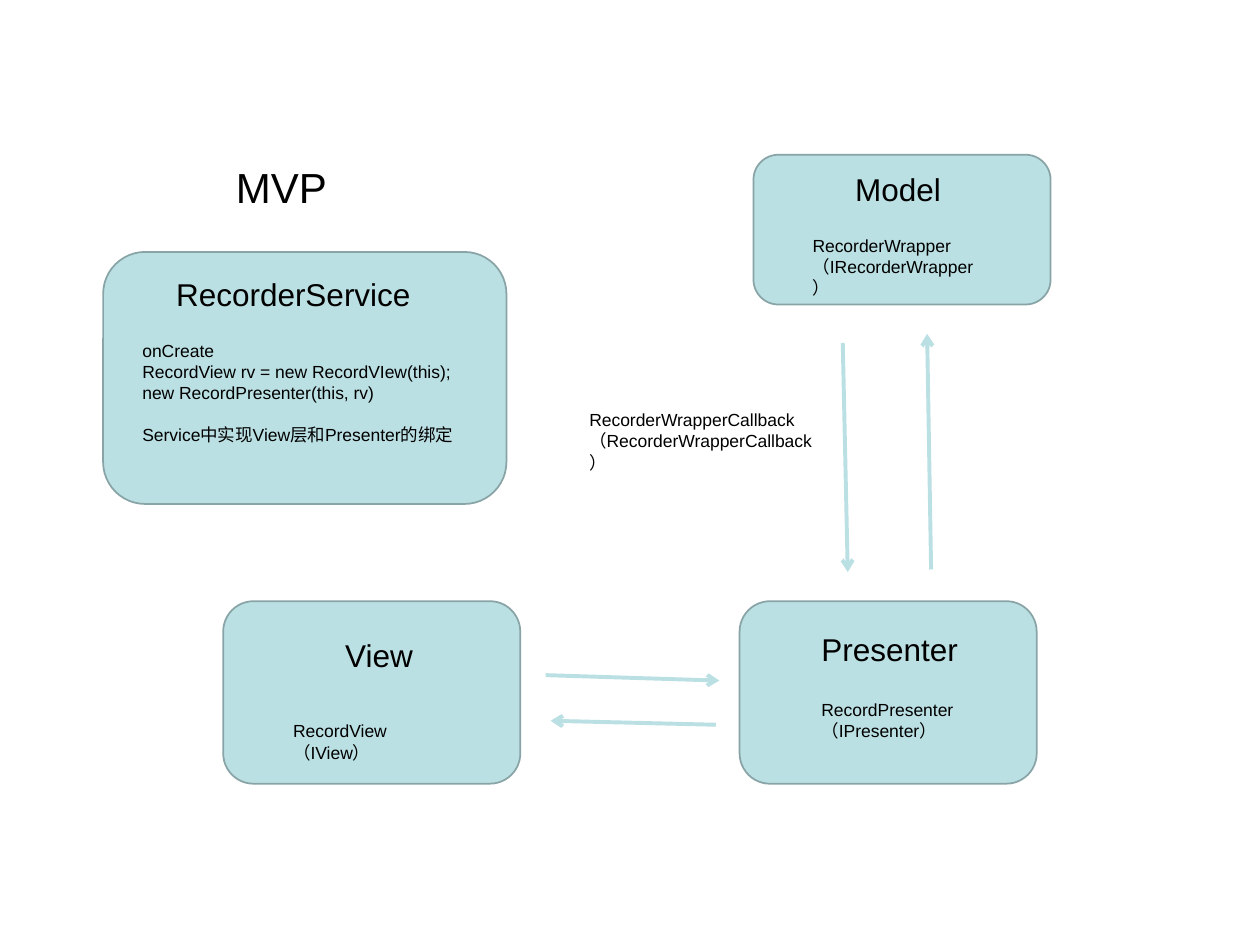
"""Build a slide of the MVP structure of a recorder service."""
from dataclasses import dataclass

from lxml import etree
from pptx import Presentation
from pptx.dml.color import RGBColor
from pptx.enum.shapes import MSO_CONNECTOR, MSO_SHAPE
from pptx.enum.text import MSO_ANCHOR, MSO_AUTO_SIZE, PP_ALIGN
from pptx.oxml.ns import qn
from pptx.util import Cm, Pt

ROUNDED = MSO_SHAPE.ROUNDED_RECTANGLE
STRAIGHT = MSO_CONNECTOR.STRAIGHT
TOP = MSO_ANCHOR.TOP
LEFT = PP_ALIGN.LEFT
FIT_TEXT = MSO_AUTO_SIZE.SHAPE_TO_FIT_TEXT
TITLE_ONLY = 5


@dataclass(frozen=True)
class Theme:
    """Colours, type sizes and line widths of the slide."""
    font: str = "Arial"
    ink: RGBColor = RGBColor(0x00, 0x00, 0x00)
    panel: RGBColor = RGBColor(0xBB, 0xE0, 0xE3)
    border: RGBColor = RGBColor(0x89, 0xA4, 0xA7)
    title: int = 24
    heading: int = 18
    detail: int = 10
    border_width: float = 1
    arrow_width: float = 2.25


THEME = Theme()

TITLE = ("MVP", (4.5, 3.12, 3.78, 1.27))

COMPONENTS = [
    {"panel": (4.5, 12.12, 5.99, 3.68),
     "heading": ("View", (6.71, 12.7, 3.78, 1.02)),
     "detail": (["RecordView（IView）"], (5.66, 14.4, 3.66, 1.12))},
    {"panel": (14.91, 12.12, 5.99, 3.68),
     "heading": ("Presenter", (16.31, 12.57, 3.78, 1.02)),
     "detail": (["RecordPresenter（IPresenter）"], (16.31, 13.97, 3.66, 1.12))},
    {"panel": (15.19, 3.12, 5.99, 3.02),
     "heading": ("Model", (16.99, 3.3, 3.78, 1.02)),
     "detail": (["RecorderWrapper（IRecorderWrapper）"], (16.13, 4.62, 3.96, 1.52))},
    {"panel": (2.08, 5.08, 8.13, 5.08),
     "heading": ("RecorderService", (3.3, 5.41, 5.38, 1.02)),
     "detail": (["onCreate",
                 "RecordView rv = new RecordVIew(this);",
                 "new RecordPresenter(this, rv)",
                 "Service中实现View层和Presenter的绑定"], (2.62, 6.73, 7.29, 2.39))},
]

CALLBACK = (["RecorderWrapperCallback（RecorderWrapperCallback）"],
            (11.63, 8.13, 5.21, 1.52))

ARROWS = [
    (11, 13.61, 14.5, 13.72),
    (14.43, 14.61, 11.1, 14.53),
    (16.99, 6.91, 17.09, 11.53),
    (18.77, 11.48, 18.69, 6.73),
]


def to_cm(values):
    return [Cm(value) for value in values]


def write(holder, lines, *, size, last_gap=0):
    frame = holder.text_frame
    frame.word_wrap = True
    frame.auto_size = FIT_TEXT
    frame.vertical_anchor = TOP
    for index, line in enumerate(lines):
        paragraph = frame.add_paragraph() if index else frame.paragraphs[0]
        paragraph.text = line
        paragraph.alignment = LEFT
        paragraph.space_before = Pt(0)
        paragraph.font.name = THEME.font
        paragraph.font.size = Pt(size)
        paragraph.font.color.rgb = THEME.ink
    if len(lines) > 1:
        paragraph.space_before = Pt(last_gap)


def add_label(slide, lines, place, **text_format):
    write(slide.shapes.add_textbox(*to_cm(place)), lines, **text_format)


def add_panel(slide, place):
    panel = slide.shapes.add_shape(ROUNDED, *to_cm(place))
    panel.shadow.inherit = False
    panel.fill.solid()
    panel.fill.fore_color.rgb = THEME.panel
    panel.line.color.rgb = THEME.border
    panel.line.width = Pt(THEME.border_width)


def add_arrow(slide, ends):
    arrow = slide.shapes.add_connector(STRAIGHT, *to_cm(ends))
    arrow.line.color.rgb = THEME.panel
    arrow.line.width = Pt(THEME.arrow_width)
    properties = arrow.line._get_or_add_ln()
    etree.SubElement(properties, qn("a:tailEnd"), type="arrow")
    etree.SubElement(arrow._element.spPr, qn("a:effectLst"))


def main():
    deck = Presentation()
    deck.slide_width, deck.slide_height = Cm(25.4), Cm(19.05)
    slide = deck.slides.add_slide(deck.slide_layouts[TITLE_ONLY])

    title = slide.shapes.title
    text, place = TITLE
    title.left, title.top, title.width, title.height = to_cm(place)
    write(title, [text], size=THEME.title)

    for component in COMPONENTS:
        add_panel(slide, component["panel"])
        heading, place = component["heading"]
        add_label(slide, [heading], place, size=THEME.heading)
        lines, place = component["detail"]
        add_label(slide, lines, place, size=THEME.detail, last_gap=12)

    lines, place = CALLBACK
    add_label(slide, lines, place, size=THEME.detail)
    for ends in ARROWS:
        add_arrow(slide, ends)

    deck.save("out.pptx")


if __name__ == "__main__":
    main()
